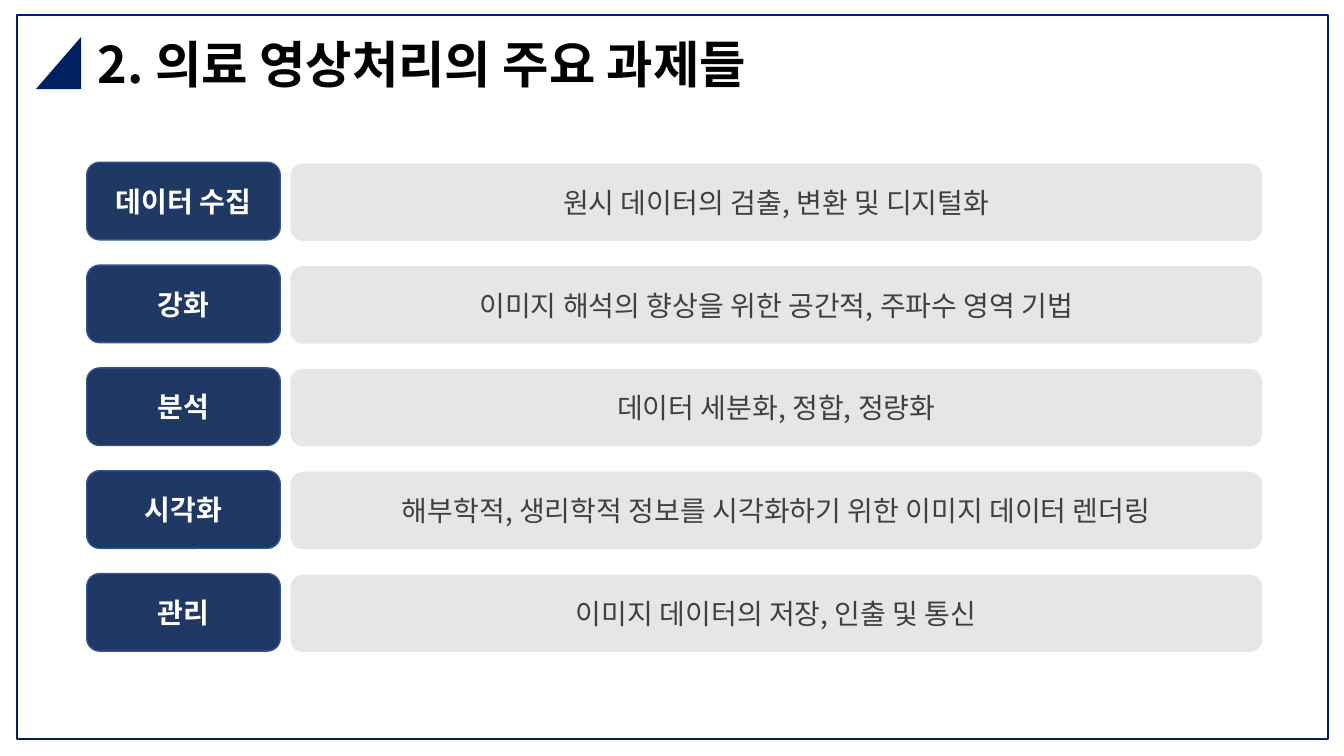
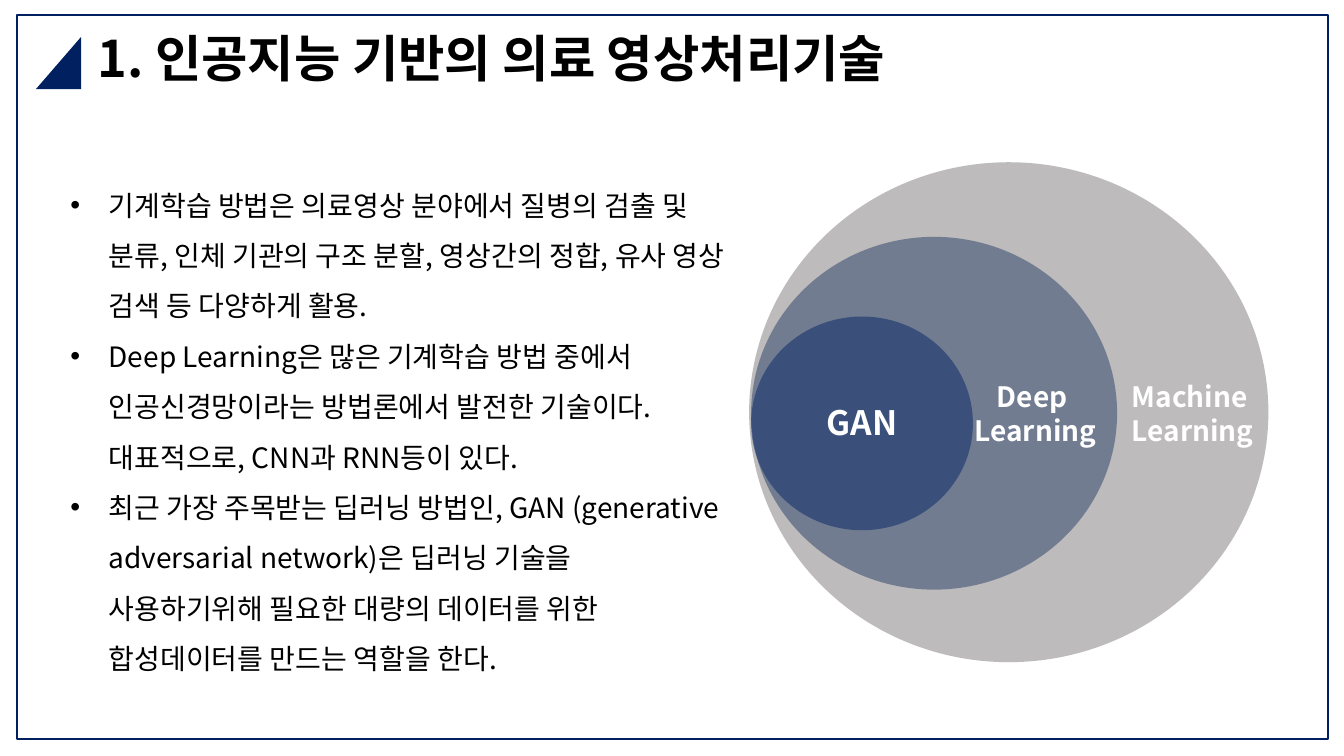
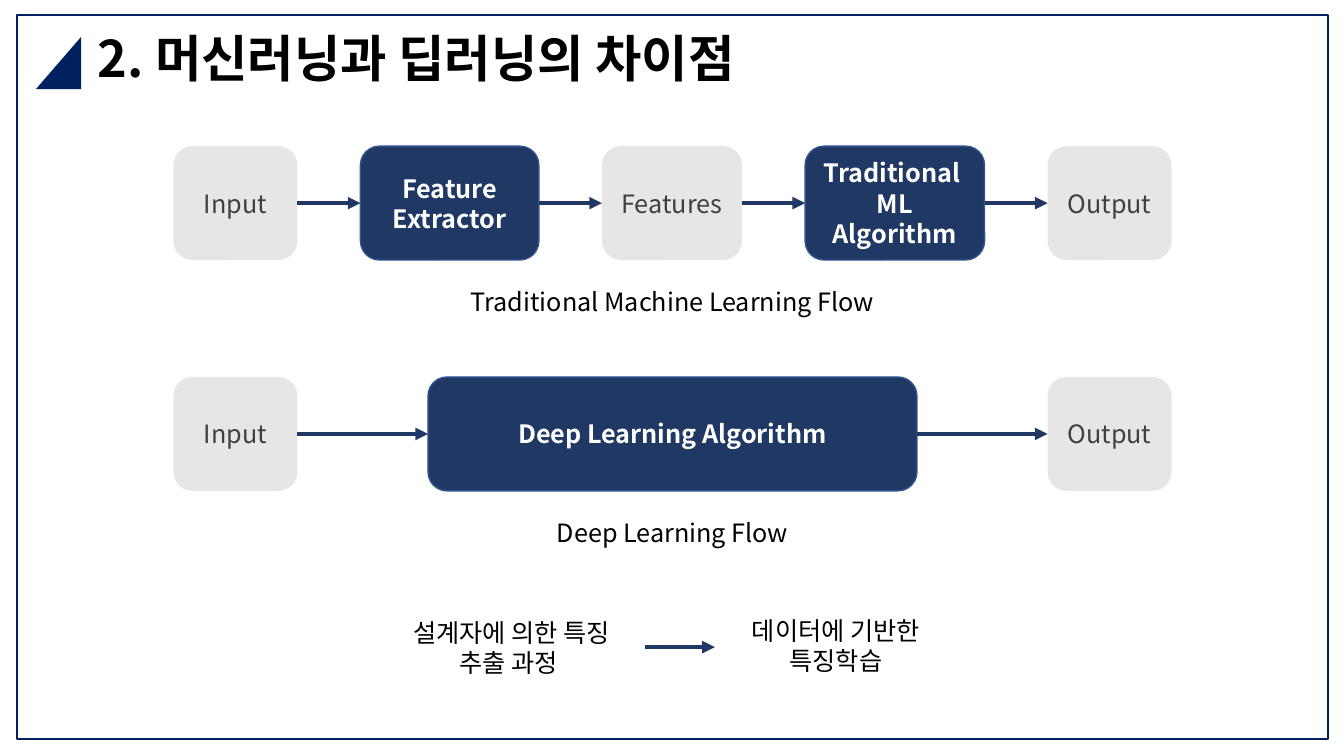
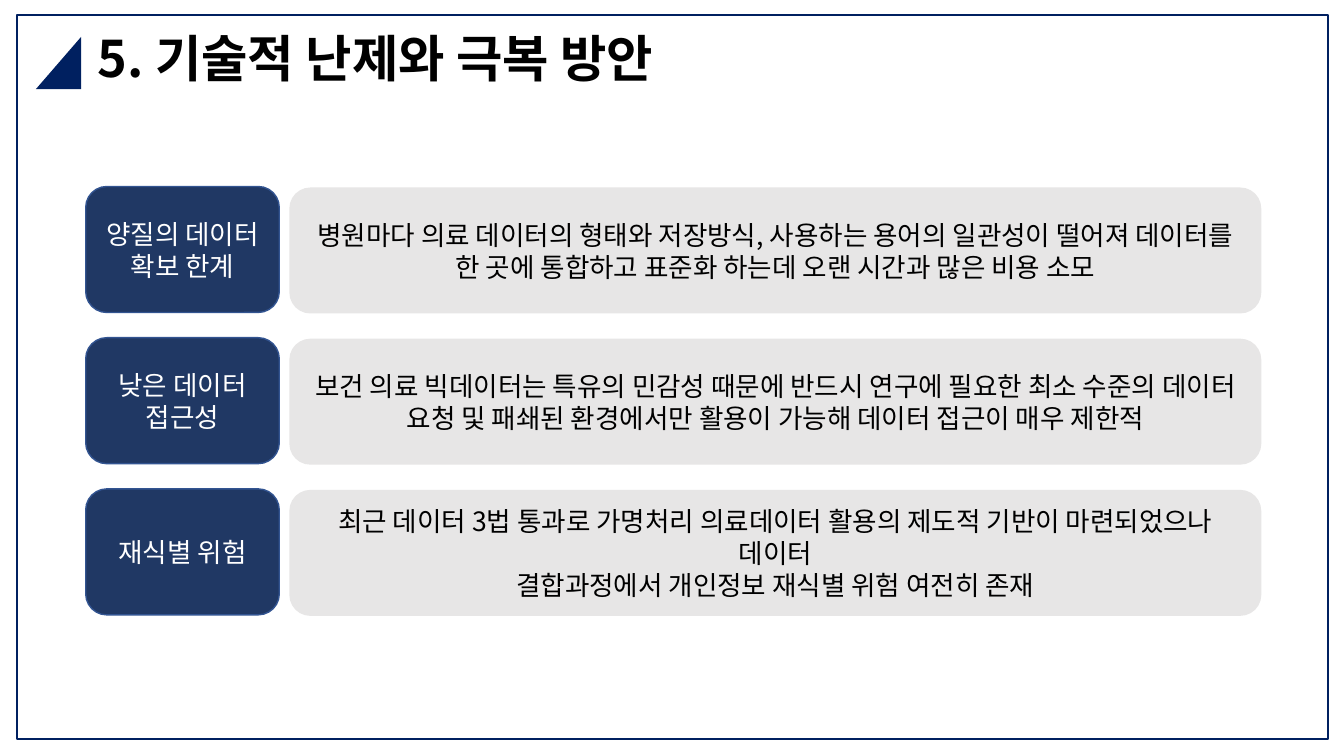
from dataclasses import dataclass

from lxml import etree
from pptx import Presentation
from pptx.dml.color import RGBColor
from pptx.enum.shapes import MSO_CONNECTOR, MSO_SHAPE
from pptx.enum.text import MSO_ANCHOR, PP_ALIGN
from pptx.oxml.ns import qn
from pptx.util import Inches, Pt

RECT = MSO_SHAPE.RECTANGLE
ROUND = MSO_SHAPE.ROUNDED_RECTANGLE
OVAL = MSO_SHAPE.OVAL
WEDGE = MSO_SHAPE.RIGHT_TRIANGLE
STRAIGHT = MSO_CONNECTOR.STRAIGHT
LEFT, CENTER = PP_ALIGN.LEFT, PP_ALIGN.CENTER
TOP, MIDDLE = MSO_ANCHOR.TOP, MSO_ANCHOR.MIDDLE


@dataclass(frozen=True)
class Theme:
    """Colours, font and type sizes of the deck."""
    font: str = "Noto Sans CJK KR"
    navy: str = "002060"
    deep: str = "203864"
    edge: str = "325491"
    pale: str = "E7E6E6"
    gray: str = "767171"
    ink: str = "404040"
    black: str = "000000"
    white: str = "FFFFFF"
    title: int = 36
    large: int = 24
    body: int = 20
    dense: int = 19
    small: int = 18


@dataclass(frozen=True)
class Box:
    """A rectangle in inches."""
    x: float
    y: float
    w: float
    h: float

    def sub(self, x, y, w, h):
        """Return a box placed relative to this one."""
        return Box(self.x + x, self.y + y, w, h)

    def emu(self):
        """Return the four lengths for python-pptx."""
        return [Inches(v) for v in (self.x, self.y, self.w, self.h)]


@dataclass(frozen=True)
class Node:
    """One step of a flow."""
    width: float
    lines: tuple
    dark: bool = False


T = Theme()


def rgb(code):
    """Turn a hex code into a colour."""
    return RGBColor.from_string(code)


def write(shape, lines, size, color, bold=False, align=CENTER, anchor=MIDDLE, space=None):
    """Write one paragraph per line into a shape."""
    frame = shape.text_frame
    frame.word_wrap = True
    frame.vertical_anchor = anchor
    for i, line in enumerate(lines):
        para = frame.add_paragraph() if i else frame.paragraphs[0]
        para.alignment = align
        if space:
            para.line_spacing = space
        run = para.add_run()
        run.text = line
        font = run.font
        font.name, font.size, font.bold = T.font, Pt(size), bold
        font.color.rgb = rgb(color)
        for tag in ("a:ea", "a:cs"):
            etree.SubElement(font._element, qn(tag), typeface=T.font)


def label(slide, box, lines, size, color=T.black, **style):
    """Place plain text in a box."""
    area = slide.shapes.add_textbox(*box.emu())
    write(area, lines, size, color, **{"anchor": TOP, **style})
    return area


def draw(slide, kind, box, fill=None, line=None, width=1, alpha=None):
    """Place a flat preset shape."""
    shape = slide.shapes.add_shape(kind, *box.emu())
    shape.shadow.inherit = False
    if fill:
        shape.fill.solid()
        shape.fill.fore_color.rgb = rgb(fill)
    else:
        shape.fill.background()
    if line:
        shape.line.color.rgb = rgb(line)
        shape.line.width = Pt(width)
    else:
        shape.line.fill.background()
    if alpha:
        color = shape._element.spPr.find(qn("a:solidFill"))[0]
        etree.SubElement(color, qn("a:alpha"), val=str(alpha * 1000))
    return shape


def card(slide, box, lines, size, dark=False, bold=False, ink=T.ink):
    """Place a dark or pale rounded card with its text."""
    shape = draw(slide, ROUND, box, T.deep if dark else T.pale, T.edge if dark else None)
    write(shape, lines, size, T.white if dark else ink, bold)


def arrow(slide, start, end, y):
    """Draw a level arrow to the right."""
    line = slide.shapes.add_connector(STRAIGHT, Inches(start), Inches(y), Inches(end), Inches(y))
    line.line.color.rgb = rgb(T.deep)
    line.line.width = Pt(3)
    props = line._element.spPr
    etree.SubElement(props.find(qn("a:ln")), qn("a:tailEnd"), type="triangle")
    etree.SubElement(props, qn("a:effectLst"))


def start(deck, title, top=0.21):
    """Add a slide with the shared title, frame and corner mark."""
    slide = deck.slides.add_slide(deck.slide_layouts[6])
    label(slide, Box(0.87, top, 10, 0.8), [title], T.title,
          bold=True, align=LEFT, anchor=MIDDLE, space=0.9)
    draw(slide, RECT, Box(0.17, 0.15, 13, 7.18), line=T.navy, width=1.5)
    draw(slide, WEDGE, Box(0.32, 0.4, 0.52, 0.45), T.navy).rotation = 270
    return slide


def table(slide, box, pitch, rows, size, bold, ink):
    """Stack rows of a dark name card and a pale detail card."""
    name, gap = 1.92, 0.1
    for i, (head, lines) in enumerate(rows):
        y = i * pitch
        card(slide, box.sub(0, y, name, box.h), [head], size, True, bold)
        card(slide, box.sub(name + gap, y + 0.01, box.w - name - gap, box.h), lines, size, ink=ink)


def points(slide, box, lines):
    """Place a bulleted list."""
    area = label(slide, box, lines, T.body, align=LEFT, space=1.5)
    for para in area.text_frame.paragraphs:
        props = para._p.get_or_add_pPr()
        props.set("marL", str(Inches(0.38)))
        props.set("indent", str(-Inches(0.38)))
        etree.SubElement(props, qn("a:buFont"), typeface="Arial")
        etree.SubElement(props, qn("a:buChar"), char="•")


def rings(slide, box):
    """Draw the nested fields and their names."""
    draw(slide, OVAL, box, T.gray, alpha=48)
    draw(slide, OVAL, box.sub(0.02, 0.74, 3.63, 3.5), T.deep, alpha=48)
    draw(slide, OVAL, box.sub(0.02, 1.53, 2.2, 2.12), T.navy, alpha=48)
    label(slide, box.sub(0.34, 2.33, 1.56, 0.5), ["GAN"], T.large, T.white, bold=True)
    for x, word in ((2.04, "Deep "), (3.6, "Machine ")):
        label(slide, box.sub(x, 2.11, 1.6, 0.77), [word, "Learning"], T.body, T.white, bold=True)


def flow(slide, box, nodes, note):
    """Spread nodes evenly across a box, join them and add a caption."""
    gap = (box.w - sum(n.width for n in nodes)) / (len(nodes) - 1)
    x = 0
    for i, node in enumerate(nodes):
        card(slide, box.sub(x, 0, node.width, box.h), node.lines, T.small, node.dark, node.dark)
        if i:
            arrow(slide, box.x + x - gap, box.x + x, box.y + box.h / 2)
        x += node.width + gap
    label(slide, box.sub(0, box.h + 0.21, box.w, 0.4), [note], T.small)


def shift(slide, box):
    """Show the change from designed to learned features."""
    label(slide, box.sub(0, 0.02, 2.21, 0.71), ["설계자에 의한 특징 추출 과정 "], T.small)
    label(slide, box.sub(3.35, 0, 1.94, 0.71), ["데이터에 기반한 특징학습"], T.small)
    arrow(slide, box.x + 2.43, box.x + 3.12, box.y + box.h / 2)


def tasks(deck):
    """Build the slide on the main tasks."""
    slide = start(deck, "2. 의료 영상처리의 주요 과제들", 0.27)
    rows = [
        ("데이터 수집", ["원시 데이터의 검출, 변환 및 디지털화"]),
        ("강화", ["이미지 해석의 향상을 위한 공간적, 주파수 영역 기법"]),
        ("분석", ["데이터 세분화, 정합, 정량화"]),
        ("시각화", ["해부학적, 생리학적 정보를 시각화하기 위한 이미지 데이터 렌더링"]),
        ("관리", ["이미지 데이터의 저장, 인출 및 통신"]),
    ]
    table(slide, Box(0.86, 1.61, 11.66, 0.77), 1.02, rows, T.body, True, T.ink)


def fields(deck):
    """Build the slide on learning methods."""
    slide = start(deck, "1. 인공지능 기반의 의료 영상처리기술")
    rings(slide, Box(7.43, 1.61, 5.15, 4.96))
    points(slide, Box(0.6, 1.65, 6.7, 5.11), [
        "기계학습 방법은 의료영상 분야에서 질병의 검출 및 분류, 인체 기관의 구조 분할, "
        "영상간의 정합, 유사 영상 검색 등 다양하게 활용.",
        "Deep Learning은 많은 기계학습 방법 중에서 인공신경망이라는 방법론에서 발전한 기술이다. "
        "대표적으로, CNN과 RNN등이 있다.",
        "최근 가장 주목받는 딥러닝 방법인, GAN (generative adversarial network)은 딥러닝 기술을 "
        "사용하기위해 필요한 대량의 데이터를 위한 합성데이터를 만드는 역할을 한다.",
    ])


def flows(deck):
    """Build the slide comparing the two flows."""
    slide = start(deck, "2. 머신러닝과 딥러닝의 차이점")
    first, last = Node(1.23, ("Input",)), Node(1.23, ("Output",))
    flow(slide, Box(1.72, 1.45, 9.9, 1.13), [
        first,
        Node(1.77, ("Feature", "Extractor"), True),
        Node(1.39, ("Features",)),
        Node(1.78, ("Traditional ", "ML Algorithm"), True),
        last,
    ], "Traditional Machine Learning Flow")
    flow(slide, Box(1.72, 3.74, 9.9, 1.13), [
        first, Node(4.85, ("Deep Learning Algorithm",), True), last,
    ], "Deep Learning Flow")
    shift(slide, Box(3.97, 6.05, 5.29, 0.74))


def limits(deck):
    """Build the slide on technical limits."""
    slide = start(deck, "5. 기술적 난제와 극복 방안")
    rows = [
        ("양질의 데이터 확보 한계",
         ["병원마다 의료 데이터의 형태와 저장방식, 사용하는 용어의 일관성이 떨어져 "
          "데이터를 한 곳에 통합하고 표준화 하는데 오랜 시간과 많은 비용 소모"]),
        ("낮은 데이터 접근성",
         ["보건 의료 빅데이터는 특유의 민감성 때문에 반드시 연구에 필요한 최소 수준의 데이터 "
          "요청 및 패쇄된 환경에서만 활용이 가능해 데이터 접근이 매우 제한적"]),
        ("재식별 위험",
         ["최근 데이터 3법 통과로 가명처리 의료데이터 활용의 제도적 기반이 마련되었으나 데이터",
          "결합과정에서 개인정보 재식별 위험 여전히 존재"]),
    ]
    table(slide, Box(0.85, 1.85, 11.66, 1.25), 1.5, rows, T.dense, False, T.black)


def main():
    """Build and save the deck."""
    deck = Presentation()
    deck.slide_width, deck.slide_height = Inches(13.33), Inches(7.5)
    for build in (tasks, fields, flows, limits):
        build(deck)
    deck.save("out.pptx")


if __name__ == "__main__":
    main()
